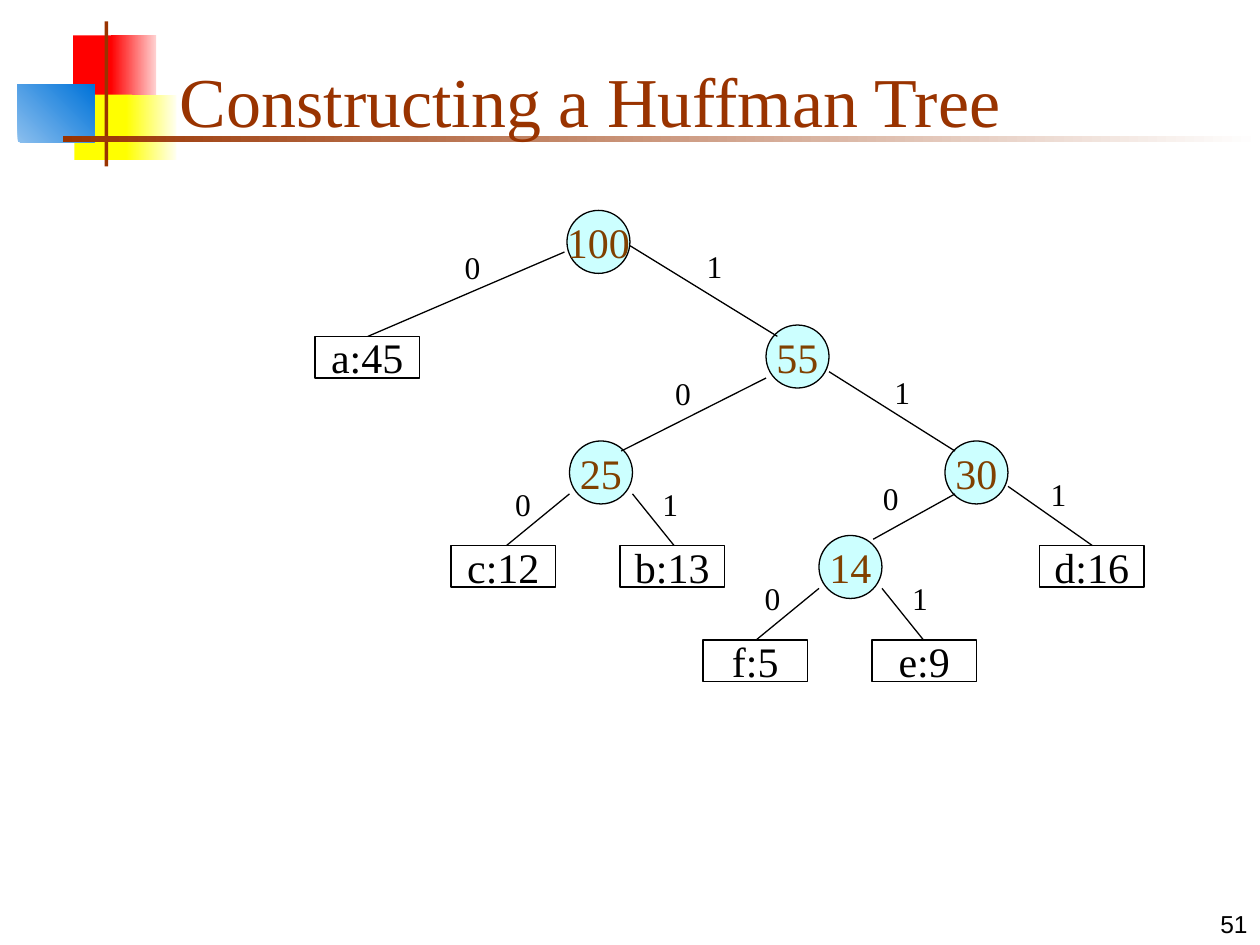
from pptx import Presentation
from pptx import util as u
from pptx.dml.color import RGBColor
from pptx.enum import shapes, text
from pptx.oxml.ns import qn
from lxml import etree

BLACK = RGBColor(0x00, 0x00, 0x00)
WHITE = RGBColor(0xFF, 0xFF, 0xFF)
RUST = RGBColor(0x99, 0x33, 0x00)
BROWN = RGBColor(0x80, 0x40, 0x00)
CYAN = RGBColor(0xCC, 0xFF, 0xFF)
RED = RGBColor(0xFF, 0x00, 0x00)
PINK = RGBColor(0xFF, 0xD1, 0xD1)
YELLOW = RGBColor(0xFF, 0xFF, 0x00)
CREAM = RGBColor(0xFF, 0xFF, 0xF0)
SKY = RGBColor(0x8B, 0xBF, 0xEE)
BLUE = RGBColor(0x00, 0x73, 0xD9)

SERIF = "Times New Roman"
NODE_SIZE = 0.5
LEAF_WIDTH, LEAF_HEIGHT = 0.83, 0.33


class TreeSlide:
    line_width = u.Pt(0.75)

    def __init__(self, slide):
        self.slide = slide

    def add_words(self, frame, words, size, color, align, anchor, font=SERIF, wrap=False):
        frame.word_wrap = wrap
        frame.vertical_anchor = anchor
        paragraph = frame.paragraphs[0]
        paragraph.alignment = align
        run = paragraph.add_run()
        run.text = words
        run.font.size = u.Pt(size)
        run.font.name = font
        run.font.color.rgb = color

    def shape(self, kind, box):
        item = self.slide.shapes.add_shape(kind, *map(u.Inches, box))
        item.shadow.inherit = False
        return item

    def band(self, box, start, end=None, angle=0):
        band = self.shape(shapes.MSO_SHAPE.RECTANGLE, box)
        band.line.fill.background()
        if end is None:
            band.fill.solid()
            band.fill.fore_color.rgb = start
            return
        band.fill.gradient()
        band.fill.gradient_angle = angle
        for stop, color, position in zip(band.fill.gradient_stops, (start, end), (0, 1)):
            stop.color.rgb = color
            stop.position = position

    def outlined(self, kind, box, words, color):
        item = self.shape(kind, box)
        item.line.color.rgb = BLACK
        item.line.width = self.line_width
        self.add_words(item.text_frame, words, 24, color,
                       text.PP_ALIGN.CENTER, text.MSO_ANCHOR.MIDDLE)
        return item

    def node(self, weight, left, top):
        node = self.outlined(shapes.MSO_SHAPE.OVAL,
                             (left, top, NODE_SIZE, NODE_SIZE), weight, BROWN)
        node.fill.solid()
        node.fill.fore_color.rgb = CYAN

    def leaf(self, symbol, left, top):
        leaf = self.outlined(shapes.MSO_SHAPE.RECTANGLE,
                             (left, top, LEAF_WIDTH, LEAF_HEIGHT), symbol, BLACK)
        leaf.fill.background()

    def edge(self, child, parent):
        edge = self.slide.shapes.add_connector(
            shapes.MSO_CONNECTOR.STRAIGHT, *map(u.Inches, child + parent))
        edge.line.color.rgb = BLACK
        edge.line.width = self.line_width
        etree.SubElement(edge._element.spPr, qn("a:effectLst"))

    def label(self, box, words, size, color=BLACK, align=text.PP_ALIGN.LEFT,
              anchor=text.MSO_ANCHOR.TOP, font=SERIF, wrap=False):
        label = self.slide.shapes.add_textbox(*map(u.Inches, box))
        self.add_words(label.text_frame, words, size, color, align, anchor, font, wrap)

    def bit(self, digit, left, top):
        self.label((left, top, 0.34, 0.4), digit, 18)


def main():
    deck = Presentation()
    deck.slide_width, deck.slide_height = u.Inches(10), u.Inches(7.5)
    tree = TreeSlide(deck.slides.add_slide(deck.slide_layouts[6]))

    tree.band((0.58, 0.28, 0.35, 0.52), RED)
    tree.band((0.88, 0.28, 0.36, 0.52), RED, PINK)
    tree.band((0.59, 0.75, 0.46, 0.52), YELLOW)
    tree.band((1, 0.75, 0.4, 0.52), YELLOW, CREAM)
    tree.band((0.14, 0.67, 0.61, 0.46), SKY, BLUE, angle=45)
    tree.band((0.83, 0.17, 0.03, 1.15), RUST)
    tree.band((0.5, 1.08, 9.5, 0.05), RUST, WHITE)

    tree.label((7.92, 7, 2.08, 0.5), "51", 14, align=text.PP_ALIGN.RIGHT,
               anchor=text.MSO_ANCHOR.BOTTOM, font="Arial", wrap=True)
    tree.label((1.33, 0.25, 8.52, 0.92), "Constructing a Huffman Tree", 40, RUST,
               anchor=text.MSO_ANCHOR.BOTTOM, wrap=True)

    leaves = [("f:5", 5.58, 5.08), ("e:9", 6.92, 5.08), ("c:12", 3.58, 4.33),
              ("b:13", 4.92, 4.33), ("d:16", 8.25, 4.33), ("a:45", 2.5, 2.67)]
    for leaf in leaves:
        tree.leaf(*leaf)

    nodes = [("14", 6.5, 4.25), ("25", 4.52, 3.5), ("30", 7.5, 3.5),
             ("55", 6.08, 2.58), ("100", 4.5, 1.67)]
    for node in nodes:
        tree.node(*node)

    branches = [
        ("0", (6, 5.08), (6.5, 4.67), (5.97, 4.55)),
        ("1", (7.33, 5.08), (7, 4.67), (7.14, 4.55)),
        ("0", (4.02, 4.33), (4.52, 3.92), (3.99, 3.8)),
        ("1", (5.35, 4.33), (5.02, 3.92), (5.16, 3.8)),
        ("0", (6.93, 4.28), (7.58, 3.92), (6.91, 3.75)),
        ("1", (8.67, 4.33), (8, 3.86), (8.24, 3.72)),
        ("0", (4.93, 3.58), (6.08, 3), (5.26, 2.92)),
        ("1", (7.58, 3.58), (6.58, 2.95), (7, 2.91)),
        ("0", (2.92, 2.67), (4.48, 2), (3.59, 1.92)),
        ("1", (6.17, 2.67), (5, 1.95), (5.51, 1.91)),
    ]
    for digit, child, parent, place in branches:
        tree.edge(child, parent)
        tree.bit(digit, *place)

    deck.save("out.pptx")


if __name__ == "__main__":
    main()
